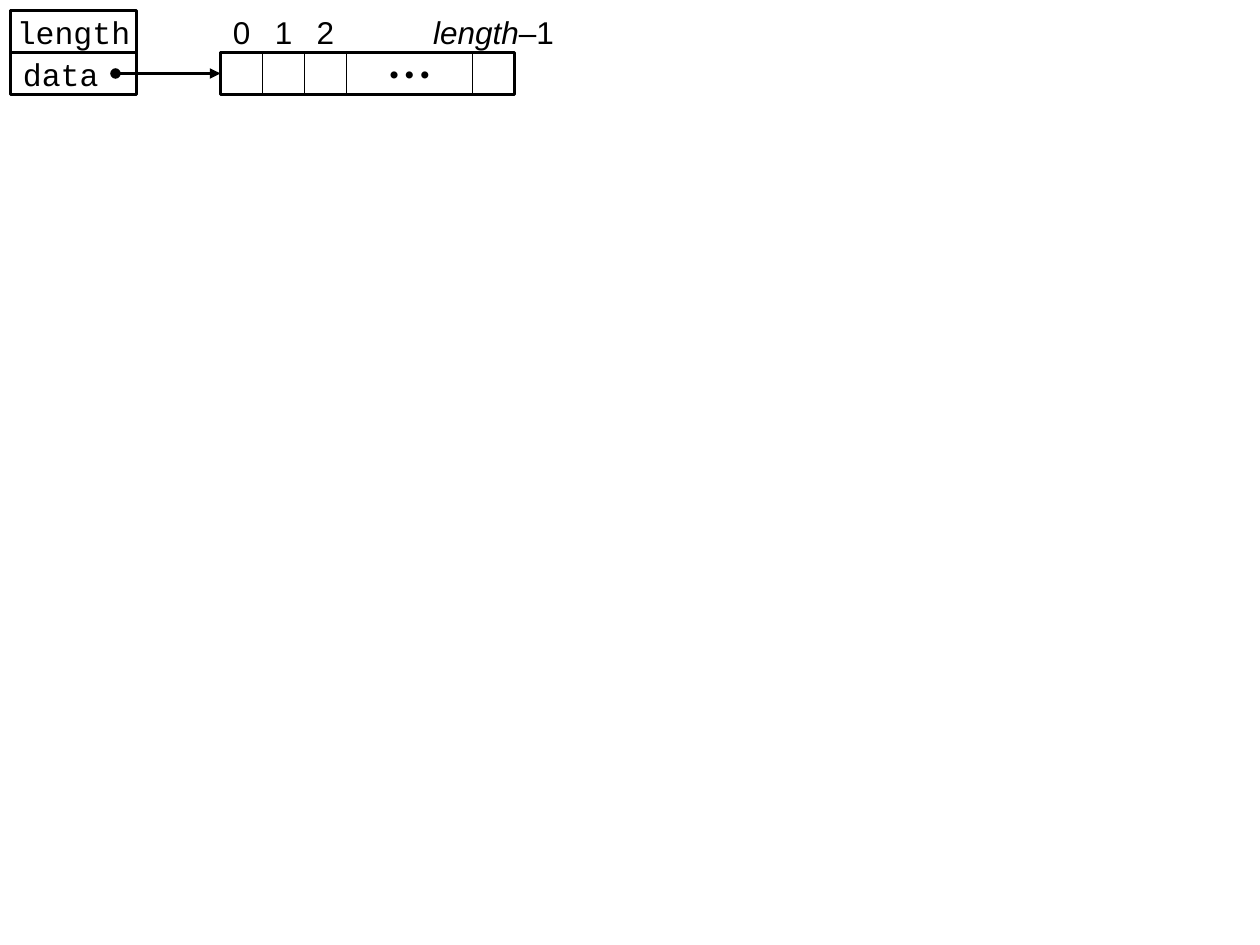
from lxml.etree import SubElement
from pptx import Presentation
from pptx.dml.color import RGBColor
from pptx.enum.shapes import MSO_CONNECTOR as Connector, MSO_SHAPE as Shape
from pptx.enum.text import MSO_ANCHOR as Anchor, PP_ALIGN as Align
from pptx.oxml.ns import qn
from pptx.util import Inches, Pt

BLACK = RGBColor(0, 0, 0)
WHITE = RGBColor(255, 255, 255)
BODY_FONT = "Arial"
CODE_FONT = "Courier New"


class ArrayDiagram:
    """Draws boxes and arrows on a grid of square cells on one slide."""

    cell = 1 / 3
    margin = 1 / 12

    def __init__(self, slide):
        self.slide = slide

    def place(self, cells):
        return Inches(self.margin + cells * self.cell)

    def box(self, column, row, columns=1, line=None, fill=WHITE):
        box = self.slide.shapes.add_shape(
            Shape.RECTANGLE, self.place(column), self.place(row),
            Inches(columns * self.cell), Inches(self.cell))
        box.shadow.inherit = False
        if fill is None:
            box.fill.background()
        else:
            box.fill.solid()
            box.fill.fore_color.rgb = fill
        if line is None:
            box.line.fill.background()
        else:
            box.line.color.rgb = BLACK
            box.line.width = Pt(line)
        return box

    def label(self, box, *spans, font=BODY_FONT, size=18, bold=False, align=Align.CENTER):
        frame = box.text_frame
        frame.word_wrap = False
        frame.vertical_anchor = Anchor.MIDDLE
        para = frame.paragraphs[0]
        para.alignment = align
        para.font.name = font
        para.font.size = Pt(size)
        para.font.bold = bold
        para.font.color.rgb = BLACK
        for text, italic in spans:
            span = para.add_run()
            span.text = text
            span.font.italic = italic

    def pointer(self, start, end, row):
        arrow = self.slide.shapes.add_connector(
            Connector.STRAIGHT, self.place(start), self.place(row),
            self.place(end), self.place(row))
        arrow.line.color.rgb = BLACK
        arrow.line.width = Pt(2)
        outline = arrow.line._get_or_add_ln()
        SubElement(outline, qn("a:headEnd"), type="oval")
        SubElement(outline, qn("a:tailEnd"), type="triangle")
        SubElement(arrow._element.spPr, qn("a:effectLst"))


def main():
    deck = Presentation()
    deck.slide_width, deck.slide_height = Inches(10), Inches(7.5)
    diagram = ArrayDiagram(deck.slides.add_slide(deck.slide_layouts[6]))

    for row, (field, align) in enumerate([("length", Align.CENTER), ("data", Align.LEFT)]):
        box = diagram.box(0, row, columns=3, line=2)
        diagram.label(box, (field, False), font=CODE_FONT, align=align)

    indices = {
        5: [("0", False)],
        6: [("1", False)],
        7: [("2", False)],
        11: [("length", True), ("–1", False)],
    }
    for column in indices:
        diagram.box(column, 1, line=1)
    gap = diagram.box(8, 1, columns=3, line=1)
    diagram.label(gap, ("• • •", False), size=14, bold=True)

    diagram.pointer(2.5, 5, 1.5)
    for column, spans in indices.items():
        diagram.label(diagram.box(column, 0), *spans)
    diagram.box(5, 1, columns=7, line=2, fill=None)

    deck.save("out.pptx")


if __name__ == "__main__":
    main()
